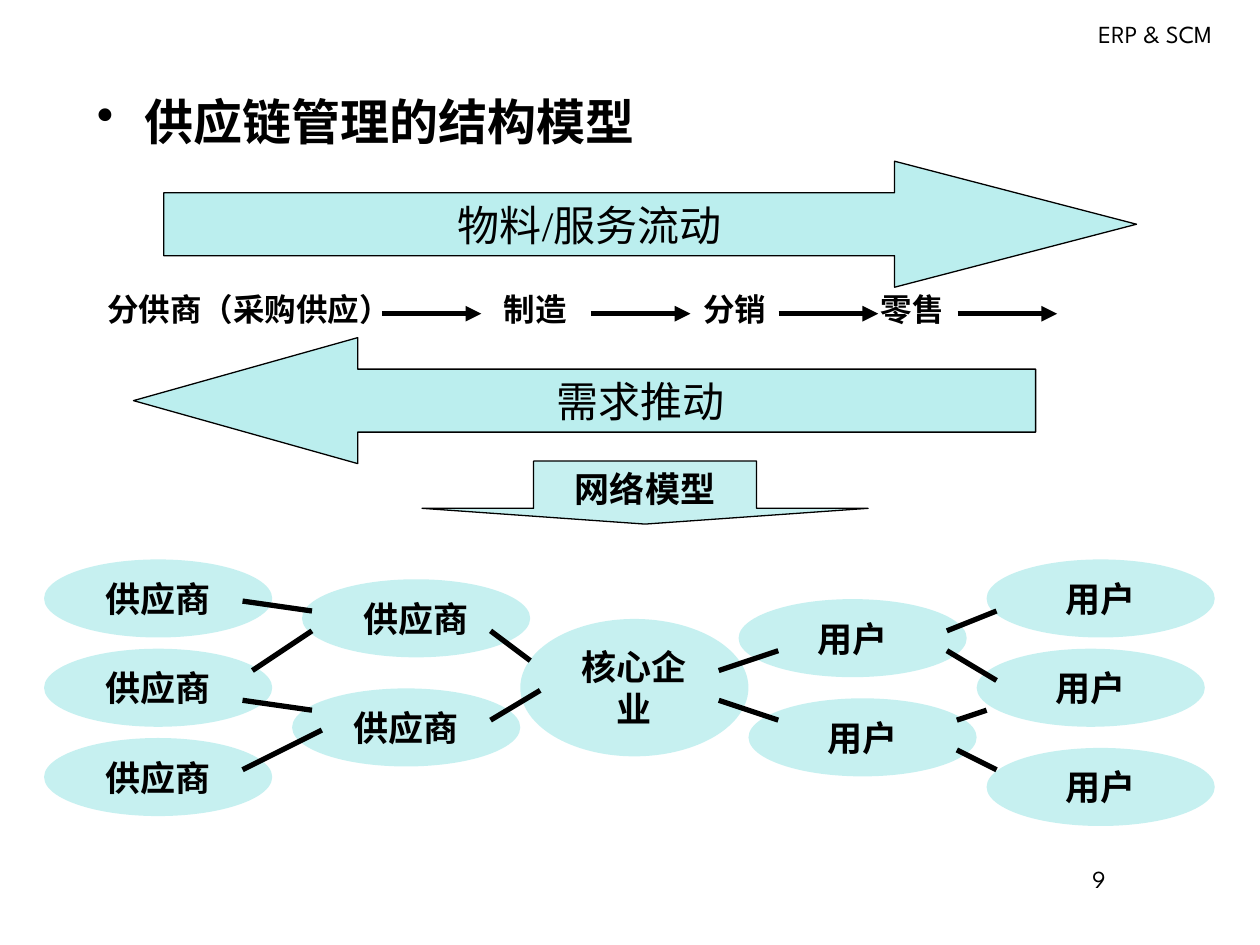
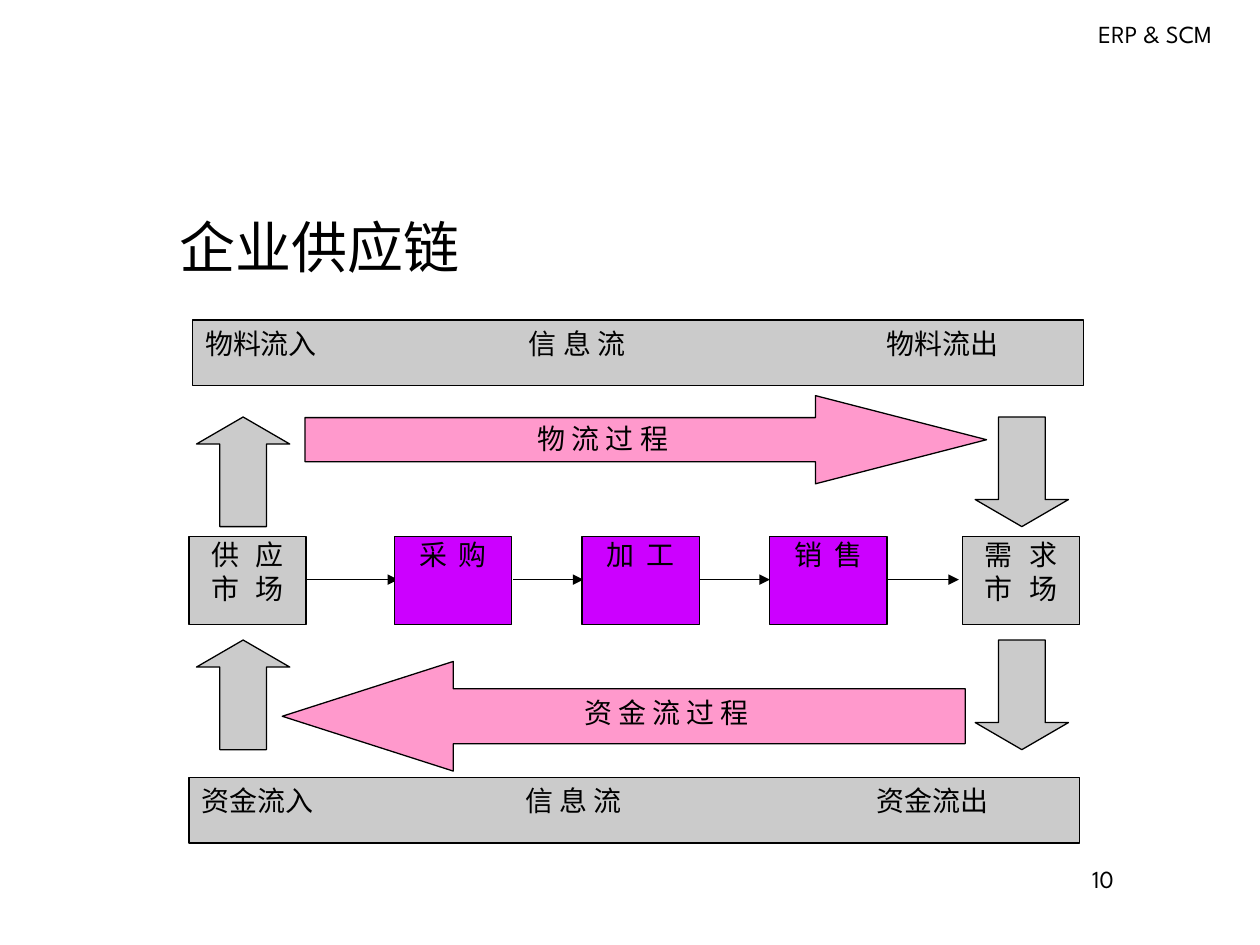
from lxml.etree import SubElement
from pptx import Presentation
from pptx.dml.color import RGBColor
from pptx.enum.shapes import MSO_CONNECTOR, MSO_SHAPE as Kind
from pptx.enum.text import MSO_ANCHOR as Anchor, PP_ALIGN as Align
from pptx.oxml.ns import qn
from pptx.util import Inches, Pt

COLORS = {"ink": "000000", "teal": "33CCCC", "gray": "CBCBCB",
          "purple": "CC00FF", "pink": "FF99CC"}
HEAD_FONT, BODY_FONT = "League Spartan", "Times New Roman"
HEADER = "ERP & SCM"

MODEL_TITLE = "供应链管理的结构模型"
FLOWS = [
    ("物料/服务流动", Kind.RIGHT_ARROW, (1.3, 1.28, 7.72, 1), 1.92),
    ("需求推动", Kind.LEFT_ARROW, (1.06, 2.68, 7.16, 1), 1.78),
]
STAGES = [("分供商（采购供应）", 0.75, 2.45, 3.03), ("制造", 3.9, 0.7, 4.69),
          ("分销", 5.48, 0.7, 6.18), ("零售", 6.89, 0.7, 7.6)]
STAGE_TOP, STAGE_LINE, STAGE_STEP = 2.25, 2.49, 0.79
NETWORK_LABEL = ("网络模型", Kind.DOWN_ARROW, (3.35, 3.66, 3.54, 0.5), 0.25)

CELL = 10 / 127
NET_LEFT, NET_TOP = 0.35, 4.44
NODE_SIZE, CORE_SIZE = (23, 7.87), (23, 13.85)
NODES = [
    ("核心企业", CORE_SIZE, [(48, 6)]),
    ("用户", NODE_SIZE, [(71, 14), (95, 19), (94, 9), (95, 0), (70, 4)]),
    ("供应商", NODE_SIZE, [(25, 13), (26, 2), (0, 18), (0, 9), (0, 0)]),
]
LINK_DROP = 0.2
LINKS = [
    (20, 4, 27, 5), (21, 11, 27, 7), (20, 14, 27, 15), (20, 21, 28, 17),
    (45, 16, 50, 13), (45, 7, 49, 10), (68, 14, 74, 16), (68, 11, 74, 9),
    (92, 16, 95, 15), (92, 19, 96, 21), (91, 9, 96, 12), (91, 7, 96, 5),
]

CHAIN_TITLE = "企业供应链"
BARS = [
    (("物料流入", "信 息 流", "物料流出"), 1.53, 2.54, (2.57, 5.41)),
    (("资金流入", "信 息 流", "资金流出"), 1.5, 6.17, (2.57, 5.36)),
]
BAR_SIZE = (7.07, 0.52)
STEPS = [("供 应\n市 场", 1.5, "gray", 3), ("采 购", 3.13, "purple", 1.5),
         ("加 工", 4.62, "purple", 1.5), ("销 售", 6.11, "purple", 1.5),
         ("需 求\n市 场", 7.64, "gray", 3)]
STEP_TOP, STEP_SIZE, STEP_LINE = 4.26, (0.93, 0.7), 4.6
STEP_LINKS = [(2.41, 3.16), (4.07, 4.63), (5.55, 6.11), (7.05, 7.61)]
PROCESSES = [
    ("物 流 过 程", Kind.RIGHT_ARROW, (2.42, 3.14, 5.41, 0.7), 1.94, 0.96),
    ("资 金 流 过 程", Kind.LEFT_ARROW, (2.24, 5.25, 5.42, 0.87), 1.56, None),
]
EXCHANGES = [(Kind.UP_ARROW, 1.56), (Kind.DOWN_ARROW, 7.74)]
EXCHANGE_TOPS, EXCHANGE_SIZE = (3.31, 5.08), (0.74, 0.87)


def write(box, text, size=16, font=BODY_FONT, bold=False, align=Align.CENTER,
          anchor=Anchor.TOP, wrap=True, inset=(0.1, 0.05), tracking=None,
          leading=None, tabs=(), bullet=None, hang=0):
    frame = box.text_frame
    frame.word_wrap, frame.vertical_anchor = wrap, anchor
    frame.margin_left = frame.margin_right = Inches(inset[0])
    frame.margin_top = frame.margin_bottom = Inches(inset[1])
    for i, line in enumerate(text.split("\n")):
        para = frame.add_paragraph() if i else frame.paragraphs[0]
        para.alignment = align
        if leading:
            para.line_spacing = leading
        props = para._p.get_or_add_pPr()
        if bullet:
            props.set("marL", str(Inches(hang)))
            props.set("indent", str(-Inches(hang)))
            SubElement(props, qn("a:buChar"), char=bullet)
        if tabs:
            stops = SubElement(props, qn("a:tabLst"))
            for stop in tabs:
                SubElement(stops, qn("a:tab"), pos=str(Inches(stop)), algn="l")
        run = para.add_run()
        run.text = line
        run.font.size, run.font.name, run.font.bold = Pt(size), font, bold
        run.font.color.rgb = RGBColor.from_string(COLORS["ink"])
        if tracking:
            run._r.get_or_add_rPr().set("spc", str(int(tracking * 100)))


def label(slide, text, at, **fmt):
    write(slide.shapes.add_textbox(*map(Inches, at)), text, **fmt)


def block(slide, kind, at, color, text=None, head=None, opacity=None,
          outline=True, **fmt):
    shape = slide.shapes.add_shape(kind, *map(Inches, at))
    shape.shadow.inherit = False
    if head:
        shape.adjustments[0], shape.adjustments[1] = 0.5, head
    shape.fill.solid()
    shape.fill.fore_color.rgb = RGBColor.from_string(COLORS[color])
    if opacity:
        tint = shape._element.spPr.find(".//" + qn("a:srgbClr"))
        SubElement(tint, qn("a:alpha"), val=str(opacity * 1000))
    if outline:
        shape.line.color.rgb = RGBColor.from_string(COLORS["ink"])
        shape.line.width = Pt(0.75)
    else:
        shape.line.fill.background()
    if text:
        write(shape, text, **fmt)


def link(slide, x1, y1, x2, y2, width=3, arrow=False):
    line = slide.shapes.add_connector(
        MSO_CONNECTOR.STRAIGHT, *map(Inches, (x1, y1, x2, y2)))
    line.line.color.rgb = RGBColor.from_string(COLORS["ink"])
    line.line.width = Pt(width)
    if arrow:
        SubElement(line.line._get_or_add_ln(), qn("a:tailEnd"), type="triangle")
    SubElement(line._element.spPr, qn("a:effectLst"))


def new_slide(deck, number):
    slide = deck.slides.add_slide(deck.slide_layouts[6])
    label(slide, str(number), (8.57, 6.81, 1.14, 0.39), size=14,
          font=HEAD_FONT, align=Align.LEFT)
    label(slide, HEADER, (8.57, 0.1, 1.2, 0.34), size=14, font=HEAD_FONT,
          wrap=False)
    return slide


def net_point(col, row):
    return NET_LEFT + col * CELL, NET_TOP + row * CELL


def model_slide(deck):
    slide = new_slide(deck, 9)
    label(slide, MODEL_TITLE, (0.67, 0.68, 8.5, 0.6), size=28, font=HEAD_FONT,
          bold=True, align=Align.LEFT, bullet="•", hang=0.38)
    for text, kind, at, head in FLOWS:
        block(slide, kind, at, "teal", text, head=head, opacity=33, size=24,
              anchor=Anchor.MIDDLE)
    for text, left, width, start in STAGES:
        label(slide, text, (left, STAGE_TOP, width, 0.4), size=18, bold=True,
              wrap=False)
        link(slide, start, STAGE_LINE, start + STAGE_STEP, STAGE_LINE, arrow=True)
    network = dict(opacity=28, size=20, bold=True, anchor=Anchor.MIDDLE)
    text, kind, at, head = NETWORK_LABEL
    block(slide, kind, at, "teal", text, head=head, **network)
    for text, size, places in NODES:
        for place in places:
            at = (*net_point(*place), *(side * CELL for side in size))
            block(slide, Kind.OVAL, at, "teal", text, outline=False, **network)
    for c1, r1, c2, r2 in LINKS:
        link(slide, *net_point(c1, r1 + LINK_DROP), *net_point(c2, r2 + LINK_DROP))


def chain_slide(deck):
    slide = new_slide(deck, 10)
    label(slide, CHAIN_TITLE, (0.75, 1.62, 3.58, 0.67), size=32,
          font=HEAD_FONT, anchor=Anchor.MIDDLE)
    for start, end in STEP_LINKS:
        link(slide, start, STEP_LINE, end, STEP_LINE, width=0.75, arrow=True)
    for text, left, color, tracking in STEPS:
        block(slide, Kind.RECTANGLE, (left, STEP_TOP, *STEP_SIZE), color, text,
              inset=(0.02, 0.01), tracking=tracking)
    for text, kind, at, head, leading in PROCESSES:
        block(slide, kind, at, "pink", text, head=head, leading=leading)
    for kind, left in EXCHANGES:
        for top in EXCHANGE_TOPS:
            block(slide, kind, (left, top, *EXCHANGE_SIZE), "gray", head=0.29)
    for parts, left, top, tabs in BARS:
        block(slide, Kind.RECTANGLE, (left, top, *BAR_SIZE), "gray",
              "\t".join(parts), align=Align.LEFT, tabs=tabs)


def main():
    deck = Presentation()
    deck.slide_width, deck.slide_height = Inches(10), Inches(7.5)
    model_slide(deck)
    chain_slide(deck)
    deck.save("out.pptx")


if __name__ == "__main__":
    main()
